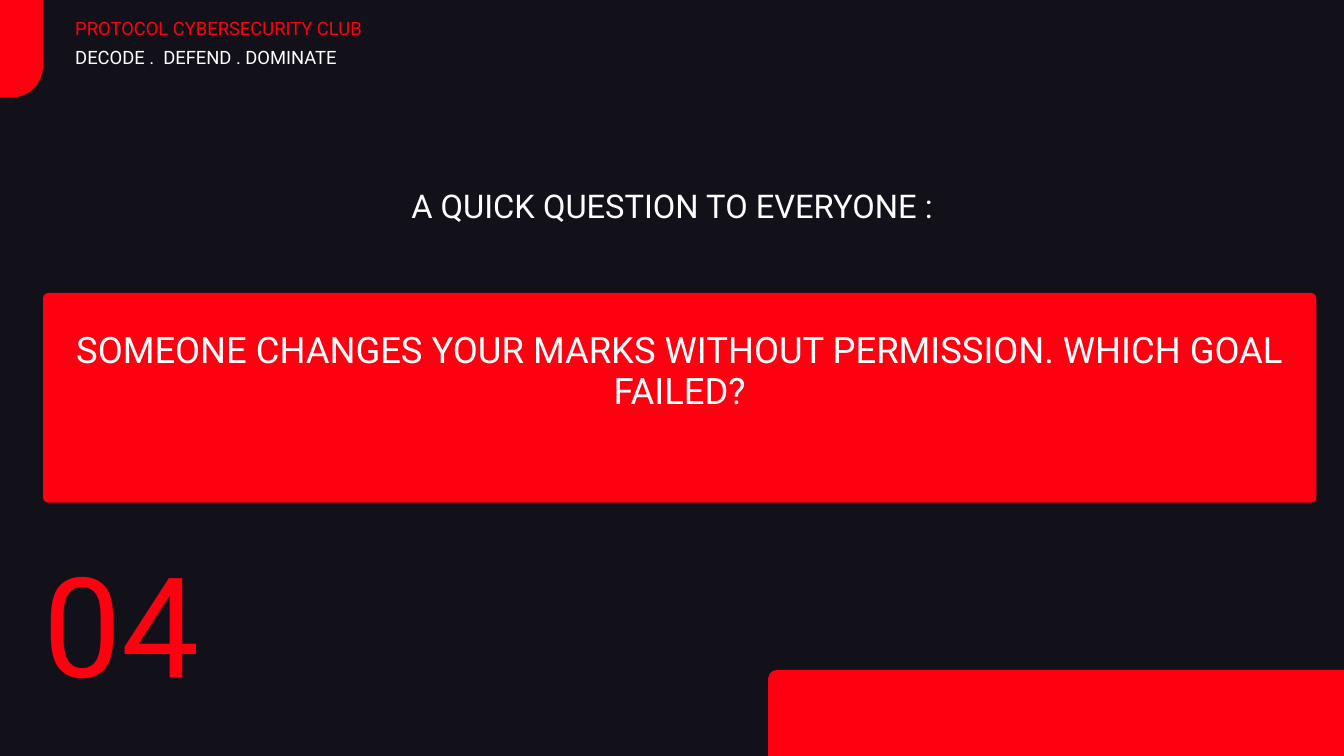
from pptx import Presentation
from pptx import util as u
from pptx.dml import color
from pptx.enum import shapes, text

COLORS = {"background": "12111A", "red": "FF0010", "white": "FFFFFF"}
FONT = "Roboto"


def rgb(name):
    return color.RGBColor.from_string(COLORS[name])


def add_panel(slide, left, top, width, height, radius):
    panel = slide.shapes.add_shape(
        shapes.MSO_SHAPE.ROUNDED_RECTANGLE,
        *(u.Inches(length) for length in (left, top, width, height)))
    panel.adjustments[0] = radius / min(width, height)
    panel.shadow.inherit = False
    panel.fill.solid()
    panel.fill.fore_color.rgb = rgb("red")
    panel.line.fill.background()


def write(shape, content, size, spacing, font_color, align):
    frame = shape.text_frame
    frame.word_wrap = True
    frame.auto_size = text.MSO_AUTO_SIZE.NONE
    frame.vertical_anchor = text.MSO_ANCHOR.TOP
    frame.margin_left = frame.margin_top = 0
    frame.margin_right = frame.margin_bottom = 0
    paragraph = frame.paragraphs[0]
    paragraph.text = content
    paragraph.alignment = align
    paragraph.line_spacing = u.Pt(spacing)
    paragraph.font.name = FONT
    paragraph.font.size = u.Pt(size)
    paragraph.font.color.rgb = rgb(font_color)


def add_label(slide, left, top, width, height, content, size, spacing,
              font_color="white", align=text.PP_ALIGN.LEFT):
    label = slide.shapes.add_textbox(
        *(u.Inches(length) for length in (left, top, width, height)))
    write(label, content, size, spacing, font_color, align)


def add_header(slide, left, top, width):
    lines = [("PROTOCOL CYBERSECURITY CLUB", "red"),
             ("DECODE .  DEFEND . DOMINATE", "white")]
    for index, (content, font_color) in enumerate(lines):
        add_label(slide, left, top + index * 0.43, width, 0.42, content,
                  19.7, 22.3, font_color, text.PP_ALIGN.JUSTIFY)


def add_title(slide, left, top, width, height):
    title = slide.shapes.title
    title.left, title.top = u.Inches(left), u.Inches(top)
    title.width, title.height = u.Inches(width), u.Inches(height)
    write(title, "A QUICK QUESTION TO EVERYONE :", 35, 39.5, "white",
          text.PP_ALIGN.CENTER)


def add_question(slide, left, top, width, height):
    add_panel(slide, left, top, width, height, 0.08)
    overhang = 0.11
    add_label(slide, left - overhang, top + 0.55, width + 2 * overhang, 1.5,
              "SOMEONE CHANGES YOUR MARKS WITHOUT PERMISSION. "
              "WHICH GOAL FAILED?", 39, 44.1, align=text.PP_ALIGN.CENTER)


def main():
    presentation = Presentation()
    presentation.slide_width = u.Inches(20)
    presentation.slide_height = u.Inches(11.25)
    slide = presentation.slides.add_slide(presentation.slide_layouts[5])
    slide.background.fill.solid()
    slide.background.fill.fore_color.rgb = rgb("background")

    add_panel(slide, -2.74, -1.93, 3.38, 3.38, 0.47)
    add_label(slide, 0.64, 8.16, 3.49, 3.41, "04", 149, 168.4, "red")
    add_panel(slide, 11.43, 9.97, 12.11, 3.38, 0.13)
    add_header(slide, 1.12, 0.28, 6)
    add_title(slide, 5.19, 2.8, 9.63, 0.79)
    add_question(slide, 0.64, 4.36, 18.95, 3.12)

    presentation.save("out.pptx")


if __name__ == "__main__":
    main()
